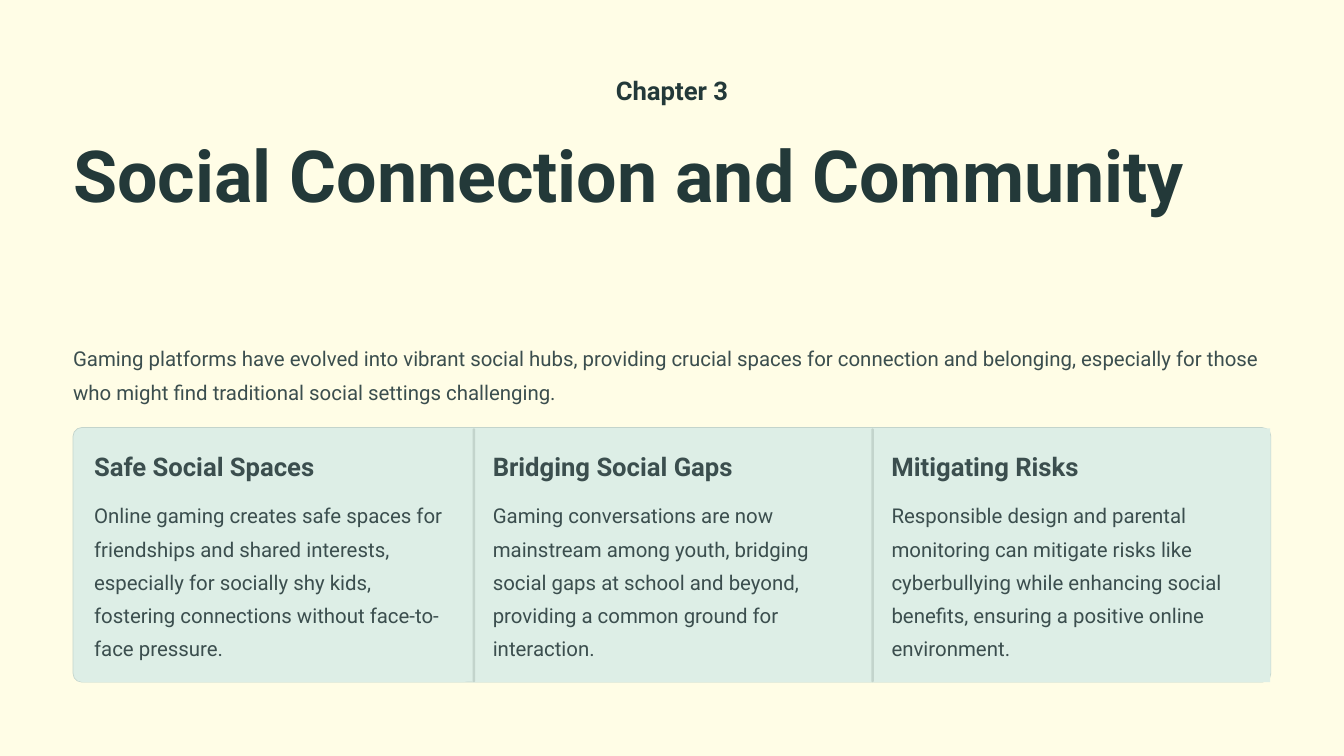
from pptx import Presentation
from pptx.dml.color import RGBColor
from pptx.enum import shapes, text
from pptx.util import Inches, Pt

CREAM = RGBColor(0xFF, 0xFD, 0xE6)
DARK = RGBColor(0x23, 0x39, 0x39)
BODY = RGBColor(0x3B, 0x4E, 0x4E)
MINT = RGBColor(0xDD, 0xEE, 0xE6)
RULE = RGBColor(0xC3, 0xD4, 0xCC)
FONT = "Roboto"

CHAPTER = "Chapter 3"
TITLE = "Social Connection and Community"
INTRO = ("Gaming platforms have evolved into vibrant social hubs, providing crucial "
         "spaces for connection and belonging, especially for those who might find "
         "traditional social settings challenging.")
COLUMNS = [
    ("Safe Social Spaces",
     "Online gaming creates safe spaces for friendships and shared interests, "
     "especially for socially shy kids, fostering connections without "
     "face-to-face pressure."),
    ("Bridging Social Gaps",
     "Gaming conversations are now mainstream among youth, bridging social gaps "
     "at school and beyond, providing a common ground for interaction."),
    ("Mitigating Risks",
     "Responsible design and parental monitoring can mitigate risks like "
     "cyberbullying while enhancing social benefits, ensuring a positive online "
     "environment."),
]

# Layout in inches
MARGIN, WIDTH = 0.87, 14.26
PANEL_TOP, PANEL_HEIGHT = 5.09, 3.03
BORDER = 0.01
COLUMN_WIDTH = (WIDTH - 2 * BORDER) / len(COLUMNS)
PADDING = 0.24
RECT = shapes.MSO_SHAPE.RECTANGLE
ROUND = shapes.MSO_SHAPE.ROUNDED_RECTANGLE

prs = Presentation()
prs.slide_width, prs.slide_height = Inches(16), Inches(9)
slide = prs.slides.add_slide(prs.slide_layouts[5])
slide.background.fill.solid()
slide.background.fill.fore_color.rgb = CREAM


def write(box, words, size, leading, color, bold=False, wrap=True,
          align=text.PP_ALIGN.LEFT):
    frame = box.text_frame
    frame.margin_left = frame.margin_right = 0
    frame.margin_top = frame.margin_bottom = 0
    frame.word_wrap = wrap
    frame.auto_size = text.MSO_AUTO_SIZE.NONE
    frame.vertical_anchor = text.MSO_ANCHOR.TOP
    frame.text = words
    paragraph = frame.paragraphs[0]
    paragraph.alignment = align
    paragraph.line_spacing = Pt(leading)
    paragraph.space_before = Pt(0)
    font = paragraph.font
    font.name, font.size, font.bold = FONT, Pt(size), bold
    font.color.rgb = color


def add_text(left, top, width, height, *args, **kwargs):
    box = slide.shapes.add_textbox(*map(Inches, (left, top, width, height)))
    write(box, *args, **kwargs)


def add_block(kind, left, top, width, height, fill, radius=None):
    block = slide.shapes.add_shape(kind, *map(Inches, (left, top, width, height)))
    block.shadow.inherit = False
    block.fill.solid()
    block.fill.fore_color.rgb = fill
    block.line.fill.background()
    if radius is not None:
        block.adjustments[0] = radius
    return block


# Heading
add_text(6.45, 0.87, 3.1, 0.39, CHAPTER, 22, 27.5, DARK, bold=True, wrap=False,
         align=text.PP_ALIGN.CENTER)
title = slide.shapes.title
title.left, title.top = Inches(MARGIN), Inches(1.51)
title.width, title.height = Inches(WIDTH), Inches(2.14)
write(title, TITLE, 61.5, 77, DARK, bold=True)
add_text(MARGIN, 4.02, WIDTH, 0.79, INTRO, 17.5, 28.5, BODY)

# Panel with its border
panel = add_block(ROUND, MARGIN, PANEL_TOP, WIDTH, PANEL_HEIGHT, MINT, 0.034)
panel.line.color.rgb = RULE
panel.line.width = Pt(0.6)

# Columns, with a divider before each but the first
for i, (heading, body) in enumerate(COLUMNS):
    left = MARGIN + BORDER + i * COLUMN_WIDTH
    cell = (left, PANEL_TOP + BORDER, COLUMN_WIDTH, PANEL_HEIGHT - BORDER, MINT)
    if i == 0:
        add_block(ROUND, *cell, 0.035)
    else:
        add_block(RECT, *cell)
        add_block(ROUND, left, PANEL_TOP + BORDER, 0.03, PANEL_HEIGHT - BORDER,
                  RULE, 0.5)
    add_text(left + PADDING, 5.35, 3.23, 0.39, heading, 22, 27.5, BODY,
             bold=True, wrap=False)
    add_text(left + PADDING, 5.89, 4.25, 1.98, body, 17.5, 28.5, BODY)

prs.save("out.pptx")
